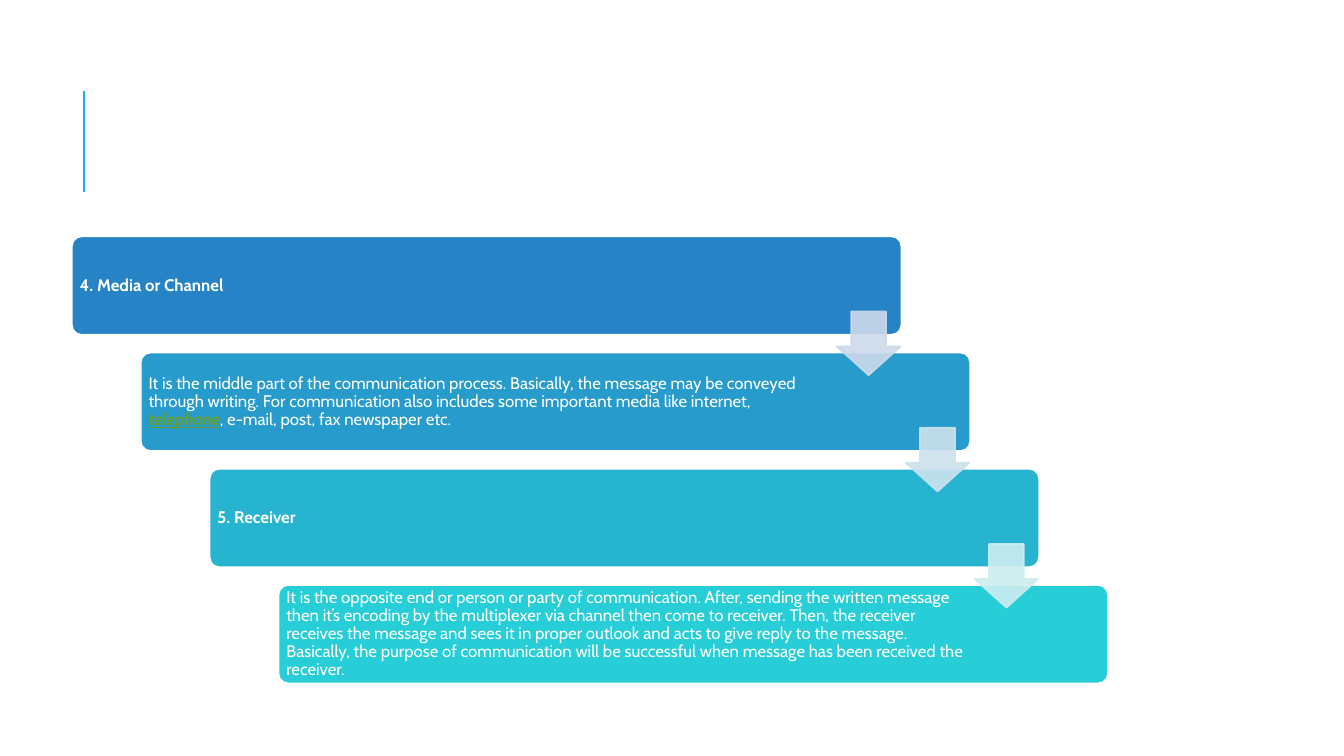
from lxml.etree import SubElement
from pptx import Presentation
from pptx.dml.color import RGBColor
from pptx.enum.shapes import MSO_CONNECTOR as LINE, MSO_SHAPE as SHAPE
from pptx.enum.text import MSO_ANCHOR as ANCHOR, PP_ALIGN as ALIGN
from pptx.oxml.ns import qn
from pptx.util import Pt

COLORS = {"white": "FFFFFF", "accent": "1CADE4", "link": "6B9F25"}
BODY = {"name": "Cabin", "size": Pt(12), "bold": False}
HEADING = {**BODY, "bold": True}
LINK = {**HEADING, "italic": True, "underline": True}

# Each step: card colour, colour of the arrow leaving it, runs of (text, format, colour)
STEPS = [
    ("2683C6", "CDD9EA", [("4. Media or Channel", HEADING, "white")]),
    ("269BCC", "CDE2ED", [
        ("It is the middle part of the communication process. Basically, the message "
         "may be conveyed through writing. For communication also includes some "
         "important media like internet, ", BODY, "white"),
        ("telephone", LINK, "link"),
        (", e-mail, post, fax newspaper etc.", BODY, "white")]),
    ("27B4D1", "CDEDF0", [("5. Receiver", HEADING, "white")]),
    ("27CED7", None, [
        ("It is the opposite end or person or party of communication. After, sending "
         "the written message then it’s encoding by the multiplexer via channel then "
         "come to receiver. Then, the receiver receives the message and sees it in "
         "proper outlook and acts to give reply to the message. Basically, the purpose "
         "of communication will be successful when message has been received "
         "the receiver.", BODY, "white")]),
]
CARD_W, CARD_H = 592.6, 70.4
ARROW_SIZE = 45.4


def rgb(value):
    return RGBColor.from_string(value)


def add_filled(slide, kind, box, adjustments, fill, line):
    sp = slide.shapes.add_shape(kind, *map(Pt, box))
    sp.shadow.inherit = False
    for i, value in enumerate(adjustments):
        sp.adjustments[i] = value
    sp.fill.solid()
    sp.fill.fore_color.rgb = rgb(fill)
    sp.line.color.rgb = rgb(line)
    sp.line.width = Pt(1.25)
    return sp


def add_title_rule(slide, x, top, bottom):
    rule = slide.shapes.add_connector(LINE.STRAIGHT, *map(Pt, (x, bottom, x, top)))
    rule.line.color.rgb = rgb(COLORS["accent"])
    rule.line.width = Pt(1.5)
    SubElement(rule._element.spPr, qn("a:effectLst"))


def add_card(slide, left, top, fill, runs):
    sp = add_filled(slide, SHAPE.ROUNDED_RECTANGLE, (left, top, CARD_W, CARD_H),
                    [0.1], fill, COLORS["white"])
    tf = sp.text_frame
    frame = {"word_wrap": True, "vertical_anchor": ANCHOR.MIDDLE,
             "margin_left": Pt(3.6), "margin_right": Pt(98.6),
             "margin_top": Pt(3.6), "margin_bottom": Pt(3.6)}
    for name, value in frame.items():
        setattr(tf, name, value)
    p = tf.paragraphs[0]
    p.alignment = ALIGN.LEFT
    p.line_spacing = 0.9
    for text, style, color in runs:
        r = p.add_run()
        r.text = text
        for name, value in style.items():
            setattr(r.font, name, value)
        r.font.color.rgb = rgb(COLORS[color])


def add_arrow(slide, left, top, color):
    """Add a slightly see-through arrow that points to the next card."""
    sp = add_filled(slide, SHAPE.DOWN_ARROW, (left, top, ARROW_SIZE, ARROW_SIZE),
                    [0.55, 0.45], color, color)
    for clr in sp._element.spPr.iter(qn("a:srgbClr")):
        SubElement(clr, qn("a:alpha"), val="90000")


def add_staircase(slide, left, top, width, height):
    """Spread the cards diagonally over the box, then lay the arrows on top."""
    gaps = len(STEPS) - 1
    dx, dy = (width - CARD_W) / gaps, (height - CARD_H) / gaps
    corners = [(left + i * dx, top + i * dy) for i in range(len(STEPS))]
    for (x, y), (fill, _, runs) in zip(corners, STEPS):
        add_card(slide, x, y, fill, runs)
    for (x, y), (_, color, _) in zip(corners, STEPS):
        if color:
            add_arrow(slide, x + 546.5, y + 53.8, color)


def main():
    prs = Presentation()
    prs.slide_width, prs.slide_height = Pt(960), Pt(540)
    slide = prs.slides.add_slide(prs.slide_layouts[6])
    add_title_rule(slide, 60, 65, 137)
    add_staircase(slide, 51.3, 168.8, 740.2, 319.4)
    prs.save("out.pptx")


if __name__ == "__main__":
    main()
